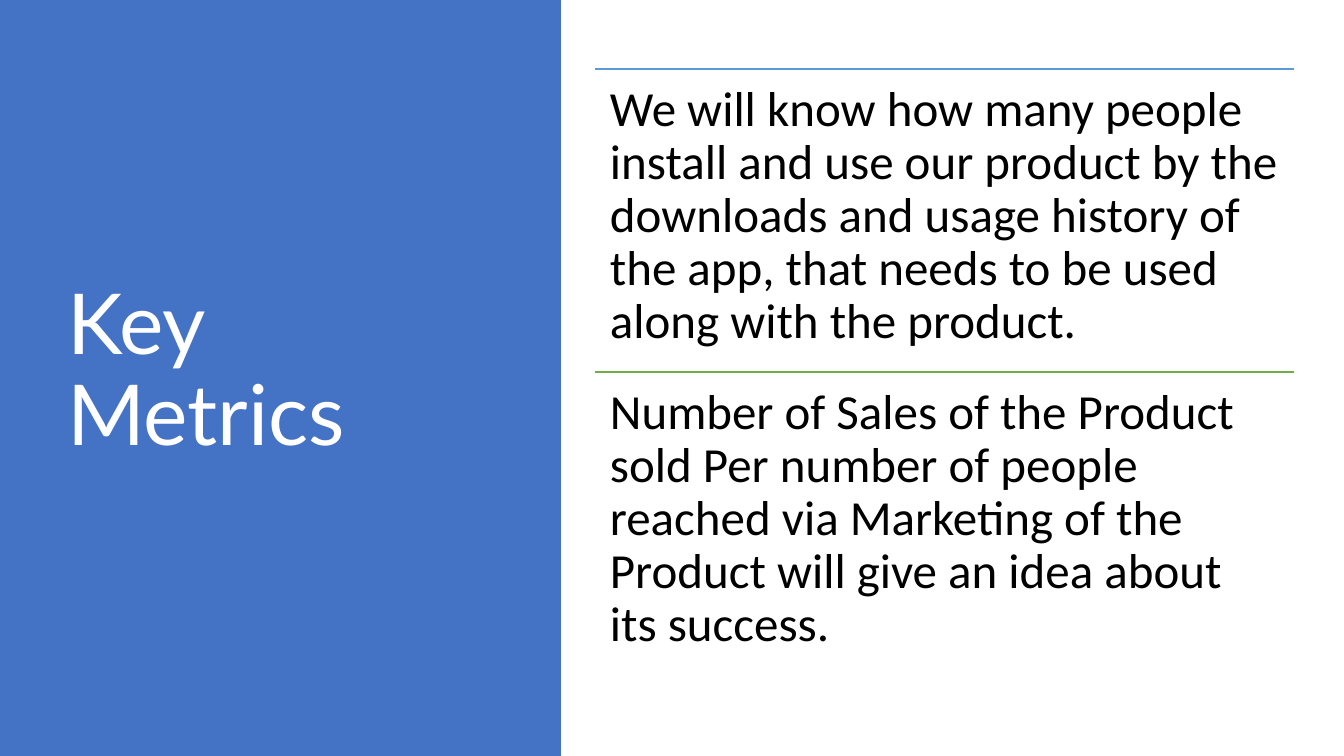
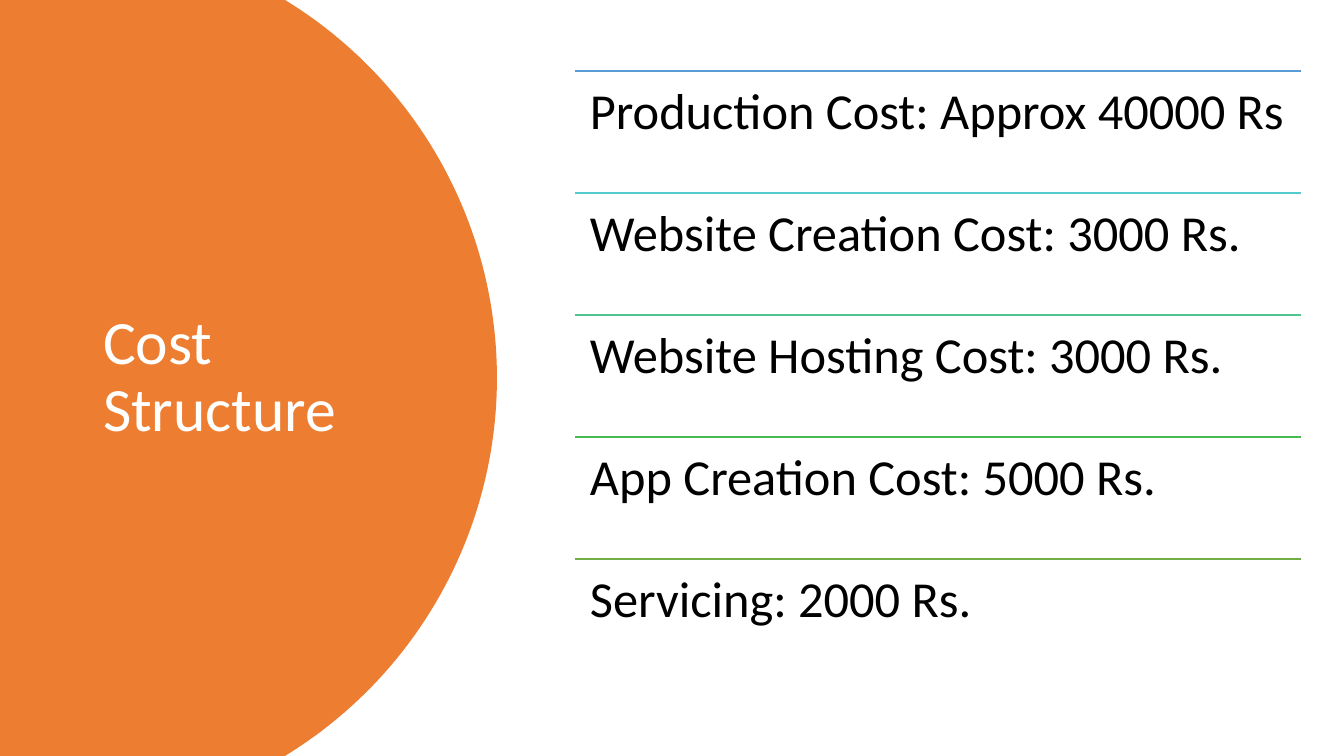
import math

from lxml import etree
from pptx import Presentation
from pptx.dml.color import RGBColor
from pptx.enum.shapes import MSO_CONNECTOR, MSO_SHAPE
from pptx.enum.text import MSO_ANCHOR, MSO_AUTO_SIZE, PP_ALIGN
from pptx.oxml.ns import qn
from pptx.util import Emu, Pt

RECTANGLE = MSO_SHAPE.RECTANGLE
STRAIGHT = MSO_CONNECTOR.STRAIGHT
TOP, MIDDLE = MSO_ANCHOR.TOP, MSO_ANCHOR.MIDDLE
LEFT = PP_ALIGN.LEFT
NO_FIT = MSO_AUTO_SIZE.NONE

WHITE = RGBColor(0xFF, 0xFF, 0xFF)
BLACK = RGBColor(0x00, 0x00, 0x00)
BLUE = RGBColor(0x44, 0x72, 0xC4)
ORANGE = RGBColor(0xED, 0x7D, 0x31)
SKY = RGBColor(0x5B, 0x9B, 0xD5)
TURQUOISE = RGBColor(0x54, 0xCC, 0xCD)
MINT = RGBColor(0x4D, 0xC5, 0x8D)
LIME = RGBColor(0x48, 0xBB, 0x4F)
GREEN = RGBColor(0x70, 0xAD, 0x47)

PX_PER_INCH = 100.8
PAGE_WIDTH, PAGE_HEIGHT = 1344, 756
BODY_FONT, HEADING_FONT = "Calibri", "Lato"
LINE_SPACING = 0.9
ROW_INSET = 15
ARC_STEPS = 96


def px(length):
    return Emu(round(length * 914400 / PX_PER_INCH))


class SlideBuilder:
    """Holds the shared style and the slide being built."""

    def __init__(self):
        self.deck = Presentation()
        self.deck.slide_width = px(PAGE_WIDTH)
        self.deck.slide_height = px(PAGE_HEIGHT)
        self.page = None

    def new_page(self):
        self.page = self.deck.slides.add_slide(self.deck.slide_layouts[5])

    def fill_text(self, frame, text, font, size, color, anchor):
        frame.word_wrap = True
        frame.auto_size = NO_FIT
        frame.vertical_anchor = anchor
        para = frame.paragraphs[0]
        para.alignment = LEFT
        para.line_spacing = LINE_SPACING
        span = para.add_run()
        span.text = text
        span.font.name = font
        span.font.size = Pt(size)
        span.font.color.rgb = color

    def title(self, text, left, top, width, height, font, size):
        box = self.page.shapes.title
        box.left, box.top = px(left), px(top)
        box.width, box.height = px(width), px(height)
        self.fill_text(box.text_frame, text, font, size, WHITE, MIDDLE)

    def finish_panel(self, panel, color):
        """Colour the panel and put it behind the title."""
        panel.shadow.inherit = False
        panel.fill.solid()
        panel.fill.fore_color.rgb = color
        panel.line.fill.background()
        self.page.shapes.title._element.addprevious(panel._element)

    def flat_panel(self, width, color):
        panel = self.page.shapes.add_shape(
            RECTANGLE, 0, 0, px(width), px(PAGE_HEIGHT))
        self.finish_panel(panel, color)

    def round_panel(self, corner, width, color):
        """Fill the left edge up to an arc from corner at the top to width at mid-height."""
        half, bulge = PAGE_HEIGHT / 2, width - corner
        radius = (bulge ** 2 + half ** 2) / (2 * bulge)
        reach = math.asin(half / radius)
        points = []
        for step in range(ARC_STEPS + 1):
            angle = reach * (2 * step / ARC_STEPS - 1)
            points.append((px(width - radius + radius * math.cos(angle)),
                           px(half + radius * math.sin(angle))))
        outline = self.page.shapes.build_freeform(0, 0, scale=1.0)
        outline.add_line_segments(points + [(0, px(PAGE_HEIGHT))], close=True)
        self.finish_panel(outline.convert_to_shape(), color)

    def rule(self, left, top, width, color):
        line = self.page.shapes.add_connector(
            STRAIGHT, px(left), px(top), px(left + width), px(top))
        line.line.color.rgb = color
        line.line.width = Pt(1)
        etree.SubElement(line._element.spPr, qn("a:effectLst"))

    def row_text(self, text, left, top, width, height, size):
        box = self.page.shapes.add_textbox(
            px(left), px(top), px(width), px(height))
        frame = box.text_frame
        frame.margin_left = frame.margin_right = px(ROW_INSET)
        frame.margin_top = frame.margin_bottom = px(ROW_INSET)
        self.fill_text(frame, text, BODY_FONT, size, BLACK, TOP)

    def ruled_list(self, rows, left, top, width, pitch, size):
        for index, (text, color) in enumerate(rows):
            row_top = top + index * pitch
            self.rule(left, row_top, width, color)
            self.row_text(text, left, row_top, width, pitch, size)


def key_metrics(builder):
    builder.new_page()
    builder.flat_panel(561, BLUE)
    builder.title("Key Metrics", 57, 69, 419, 607, HEADING_FONT, 60)
    builder.ruled_list([
        ("We will know how many people install and use our product by the "
         "downloads and usage history of the app, that needs to be used "
         "along with the product.", SKY),
        ("Number of Sales of the Product sold Per number of people reached "
         "via Marketing of the Product will give an idea about its success.",
         GREEN),
    ], 595, 69, 699, 303, 35)


def cost_structure(builder):
    builder.new_page()
    builder.round_panel(285, 497, ORANGE)
    builder.title("Cost Structure", 93, 71, 326, 614, BODY_FONT, 44)
    builder.ruled_list([
        ("Production Cost: Approx 40000 Rs", SKY),
        ("Website Creation Cost: 3000 Rs.", TURQUOISE),
        ("Website Hosting Cost: 3000 Rs.", MINT),
        ("App Creation Cost: 5000 Rs.", LIME),
        ("Servicing: 2000 Rs.", GREEN),
    ], 575, 71, 726, 122, 36)


def main():
    builder = SlideBuilder()
    key_metrics(builder)
    cost_structure(builder)
    builder.deck.save("out.pptx")


if __name__ == "__main__":
    main()
